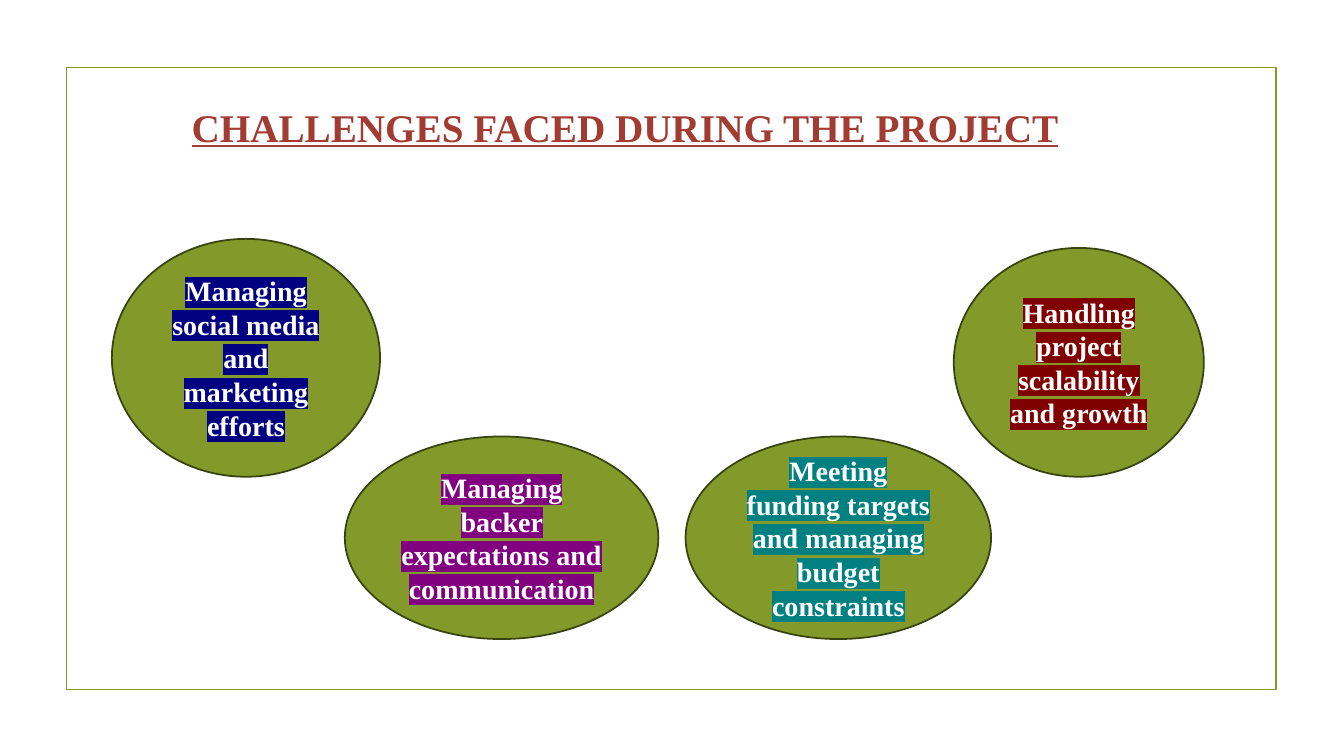
from lxml.etree import SubElement
from pptx import Presentation
from pptx.dml.color import RGBColor
from pptx.enum.shapes import MSO_SHAPE as Preset
from pptx.enum.text import MSO_ANCHOR as Anchor, MSO_AUTO_SIZE as AutoSize, PP_ALIGN as Align
from pptx.oxml.ns import qn
from pptx.util import Inches, Pt


def color(hex_text):
    return RGBColor.from_string(hex_text)


class SlideBuilder:
    """Holds the slide and its style and draws each kind of element."""

    font_name = "Times New Roman"
    green, dark_green, red, white = "83992A", "394312", "A23C33", "FFFFFF"

    def __init__(self, presentation):
        self.slide = presentation.slides.add_slide(presentation.slide_layouts[5])

    def add_run(self, paragraph, text, size, text_color, highlight=None):
        run = paragraph.add_run()
        run.text = text
        font = run.font
        font.name = self.font_name
        font.size = Pt(size)
        font.bold = True
        font.color.rgb = color(text_color)
        if highlight:
            properties = run._r.get_or_add_rPr()
            mark = SubElement(properties, qn("a:highlight"))
            SubElement(mark, qn("a:srgbClr"), val=highlight)
            properties.find(qn("a:solidFill")).addnext(mark)
        return run

    def add_title(self, text, left, top, width, height):
        title = self.slide.shapes.title
        title.left, title.top = Inches(left), Inches(top)
        title.width, title.height = Inches(width), Inches(height)
        frame = title.text_frame
        frame.word_wrap = True
        frame.auto_size = AutoSize.NONE
        frame.vertical_anchor = Anchor.TOP
        paragraph = frame.paragraphs[0]
        paragraph.alignment = Align.LEFT
        self.add_run(paragraph, text, 28, self.red).font.underline = True

    def add_shape(self, preset, box, line, fill=None):
        shape = self.slide.shapes.add_shape(preset, *map(Inches, box))
        shape.shadow.inherit = False
        if fill:
            shape.fill.solid()
            shape.fill.fore_color.rgb = color(fill)
        else:
            shape.fill.background()
        shape.line.color.rgb = color(line)
        shape.line.width = Pt(1.25)
        return shape

    def add_border(self, *box):
        self.add_shape(Preset.RECTANGLE, box, self.green)

    def add_challenge(self, text, highlight, *box):
        ellipse = self.add_shape(Preset.OVAL, box, self.dark_green, self.green)
        frame = ellipse.text_frame
        frame.word_wrap = True
        frame.vertical_anchor = Anchor.MIDDLE
        paragraph = frame.paragraphs[0]
        paragraph.alignment = Align.CENTER
        self.add_run(paragraph, text, 20, self.white, highlight)


def main():
    presentation = Presentation()
    presentation.slide_width = Inches(13.33)
    presentation.slide_height = Inches(7.5)
    builder = SlideBuilder(presentation)
    builder.add_border(0.66, 0.67, 12, 6.17)
    challenges = [
        ("Managing social media and marketing efforts", "000080", 1.11, 2.37, 2.66, 2.36),
        ("Managing backer expectations and communication", "800080", 3.42, 4.33, 3.11, 2.01),
        ("Meeting funding targets and managing budget constraints", "008080", 6.8, 4.33, 3.03, 2.01),
        ("Handling project scalability and growth", "800000", 9.46, 2.46, 2.48, 2.27),
    ]
    for challenge in challenges:
        builder.add_challenge(*challenge)
    builder.add_title("CHALLENGES FACED DURING THE PROJECT", 1.8, 0.97, 9.38, 0.57)
    presentation.save("out.pptx")


if __name__ == "__main__":
    main()
